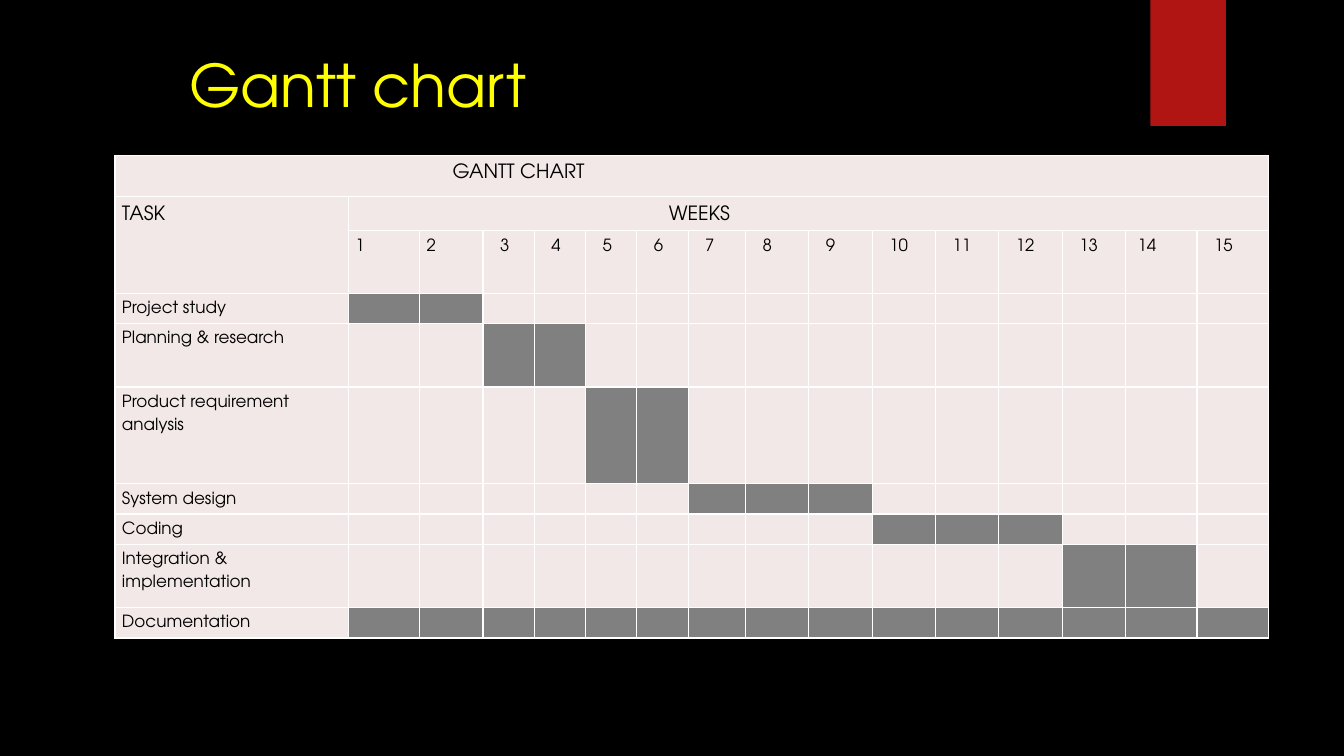
from lxml.etree import SubElement
from pptx import Presentation
from pptx.dml.color import RGBColor as Color
from pptx.enum.shapes import MSO_SHAPE as Shape
from pptx.enum.text import PP_ALIGN as Align
from pptx.oxml.ns import qn
from pptx.util import Emu, Inches, Pt

COLORS = {"back": "000000", "title": "FFFF00", "ribbon": "B01513", "cell": "F2E8E7",
          "bar": "808080", "border": "FFFFFF", "text": "000000"}
FONT = "TeX Gyre Adventor"
COLUMNS = [2.32, 0.71] + [0.63] + [0.51] * 4 + [0.57] + [0.63] * 6 + [0.71] * 2
ROWS = [0.41, 0.34, 0.62, 0.3, 0.63, 0.96, 0.3, 0.3, 0.63, 0.3]
WEEKS = range(1, 16)
TASKS = [("Project study", 1, 2), ("Planning & research", 3, 4),
         ("Product requirement analysis", 5, 6), ("System design", 7, 9),
         ("Coding", 10, 12), ("Integration & implementation", 13, 14),
         ("Documentation", 1, 15)]
WEEK_INDENTS = {1: 0, 2: 0, 14: 0.05}
FIRST_TASK_ROW = 3


def paint(fill, name):
    """Give a fill one solid named colour."""
    fill.solid()
    fill.fore_color.rgb = Color.from_string(COLORS[name])


def write(para, text, size, color):
    """Add one formatted span to a paragraph."""
    span = para.add_run()
    span.text = text
    for key, value in {"size": Pt(size), "name": FONT}.items():
        setattr(span.font, key, value)
    span.font.color.rgb = Color.from_string(COLORS[color])


def style_cell(cell, fill):
    """Set the margins, borders, fill and empty-line size of a cell."""
    margins = {"margin_left": 0.07, "margin_right": 0.07, "margin_top": 0, "margin_bottom": 0}
    for key, value in margins.items():
        setattr(cell, key, Inches(value))
    properties = cell._tc.get_or_add_tcPr()
    for side in ("a:lnL", "a:lnR", "a:lnT", "a:lnB"):
        line = SubElement(properties, qn(side), w=str(Pt(1)))
        solid = SubElement(line, qn("a:solidFill"))
        SubElement(solid, qn("a:srgbClr"), val=COLORS["border"])
    paint(cell.fill, fill)
    SubElement(cell.text_frame.paragraphs[0]._p, qn("a:endParaRPr"), sz="1200")


def label(cell, text, size=12, indent=0, align=Align.JUSTIFY):
    """Write text in a cell, indented by a length in inches."""
    para = cell.text_frame.paragraphs[0]
    for key, value in {"alignment": align, "line_spacing": 1.5}.items():
        setattr(para, key, value)
    para._p.get_or_add_pPr().set("marL", str(Inches(indent)))
    write(para, text, size, "text")


def add_title(page, left, top, width, height):
    """Place the slide title in its box."""
    box = page.shapes.add_textbox(left, top, width, height)
    box.text_frame.word_wrap = True
    write(box.text_frame.paragraphs[0], "Gantt chart", 42, "title")


def add_ribbon(page, left, top, width, height):
    """Hang the ribbon from the top edge."""
    ribbon = page.shapes.add_shape(Shape.RECTANGLE, left, top, width, height)
    ribbon.shadow.inherit = False
    paint(ribbon.fill, "ribbon")
    ribbon.line.fill.background()


def add_gantt(page, left, top, width, height):
    """Fill the box with the schedule table."""
    table = page.shapes.add_table(len(ROWS), len(COLUMNS), left, top, width, height).table
    for flag in ("first_row", "horz_banding"):
        setattr(table, flag, False)
    for column, share in zip(table.columns, COLUMNS):
        column.width = Emu(int(width * share / sum(COLUMNS)))
    for row, share in zip(table.rows, ROWS):
        row.height = Emu(int(height * share / sum(ROWS)))

    spans = [(-1, -1)] * FIRST_TASK_ROW + [(start, end) for _, start, end in TASKS]
    for row, (start, end) in enumerate(spans):
        for column in range(len(COLUMNS)):
            style_cell(table.cell(row, column), "bar" if start <= column <= end else "cell")

    table.cell(0, 0).merge(table.cell(0, len(WEEKS)))
    table.cell(1, 0).merge(table.cell(2, 0))
    table.cell(1, 1).merge(table.cell(1, len(WEEKS)))
    label(table.cell(0, 0), "GANTT CHART", 14, 3.28)
    label(table.cell(1, 0), "TASK", 14)
    label(table.cell(1, 1), "WEEKS", 14, 3.11)
    for week in WEEKS:
        label(table.cell(2, week), str(week), indent=WEEK_INDENTS.get(week, 0.1))
    for row, (task, _, _) in enumerate(TASKS, FIRST_TASK_ROW):
        label(table.cell(row, 0), task, align=Align.LEFT)


def main():
    """Build the slide and save it."""
    deck = Presentation()
    deck.slide_width, deck.slide_height = Inches(13.33), Inches(7.5)
    page = deck.slides.add_slide(deck.slide_layouts[6])
    paint(page.background.fill, "back")
    add_ribbon(page, Inches(11.41), 0, Inches(0.75), Inches(1.25))
    add_gantt(page, Inches(1.14), Inches(1.54), Inches(11.44), Inches(4.79))
    add_title(page, Inches(1.78), Inches(0.43), Inches(4.95), Inches(0.81))
    deck.save("out.pptx")


if __name__ == "__main__":
    main()
